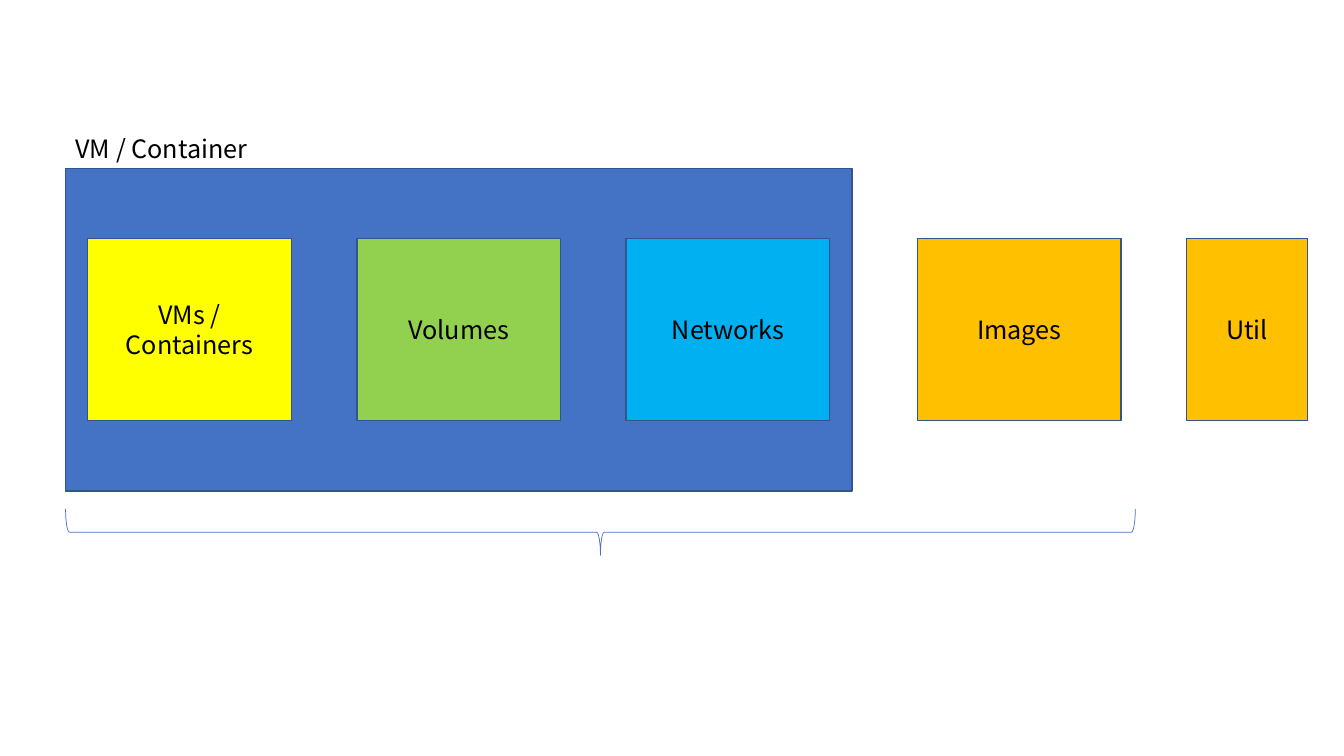
from pptx import Presentation
from pptx.dml.color import RGBColor
from pptx.enum.shapes import MSO_SHAPE
from pptx.enum.text import MSO_ANCHOR, MSO_AUTO_SIZE, PP_ALIGN
from pptx.util import Inches, Pt

BLACK = RGBColor(0x00, 0x00, 0x00)
BLUE = RGBColor(0x44, 0x72, 0xC4)
NAVY = RGBColor(0x32, 0x54, 0x91)
YELLOW = RGBColor(0xFF, 0xFF, 0x00)
GREEN = RGBColor(0x92, 0xD0, 0x50)
CYAN = RGBColor(0x00, 0xB0, 0xF0)
ORANGE = RGBColor(0xFF, 0xC0, 0x00)

FONT_FORMAT = {"name": "Noto Sans CJK KR", "size": Pt(18)}
BOX_TEXT_FORMAT = {"vertical_anchor": MSO_ANCHOR.MIDDLE, "word_wrap": True}
LABEL_TEXT_FORMAT = {"word_wrap": False, "auto_size": MSO_AUTO_SIZE.SHAPE_TO_FIT_TEXT}

FRAME_LEFT, FRAME_TOP, FRAME_WIDTH, FRAME_HEIGHT = 0.65, 1.67, 7.8, 3.2
FRAME_PAD = 0.22
COLUMN_PITCH, COLUMN_WIDTH = 2.67, 2.02
ROW_HEIGHT, LABEL_HEIGHT = 1.81, 0.4
ROW_TOP = FRAME_TOP + (FRAME_HEIGHT - ROW_HEIGHT) / 2

MODULES = [
    ("VMs /\nContainers", YELLOW, COLUMN_WIDTH),
    ("Volumes", GREEN, COLUMN_WIDTH),
    ("Networks", CYAN, COLUMN_WIDTH),
    ("Images", ORANGE, COLUMN_WIDTH),
    ("Util", ORANGE, 1.2),
]
FRAMED_COUNT = 3


def apply_format(target, values):
    """Set every attribute named in values on the target."""
    for attribute, value in values.items():
        setattr(target, attribute, value)


def write_lines(frame, text, frame_format, align):
    """Fill a text frame with one styled paragraph per line."""
    apply_format(frame, frame_format)
    frame.text = text
    for paragraph in frame.paragraphs:
        paragraph.alignment = align
        apply_format(paragraph.font, FONT_FORMAT)
        paragraph.font.color.rgb = BLACK


def add_box(slide, left, top, width, height, fill):
    """Add a filled rectangle with a navy outline."""
    box = slide.shapes.add_shape(
        MSO_SHAPE.RECTANGLE, *map(Inches, (left, top, width, height)))
    box.shadow.inherit = False
    box.fill.solid()
    box.fill.fore_color.rgb = fill
    box.line.color.rgb = NAVY
    box.line.width = Pt(1)
    return box


def add_module(slide, column, text, fill, width):
    """Add a captioned box in a column, shifted when beyond the frame."""
    inset = FRAME_PAD * (1 if column < FRAMED_COUNT else 2)
    left = FRAME_LEFT + inset + column * COLUMN_PITCH
    module = add_box(slide, left, ROW_TOP, width, ROW_HEIGHT, fill)
    write_lines(module.text_frame, text, BOX_TEXT_FORMAT, PP_ALIGN.CENTER)


def add_label(slide, left, top, text):
    """Add an unwrapped text label."""
    label = slide.shapes.add_textbox(
        *map(Inches, (left, top, COLUMN_WIDTH, LABEL_HEIGHT)))
    write_lines(label.text_frame, text, LABEL_TEXT_FORMAT, PP_ALIGN.LEFT)


def add_brace_below(slide, left, top, span, depth):
    """Add a brace that spans horizontally and points down."""
    brace = slide.shapes.add_shape(
        MSO_SHAPE.RIGHT_BRACE,
        *map(Inches, (left + (span - depth) / 2, top + (depth - span) / 2, depth, span)))
    brace.rotation = 90
    brace.shadow.inherit = False
    brace.fill.background()
    brace.line.color.rgb = BLUE
    brace.line.width = Pt(0.5)


def main():
    """Build the module overview slide and save it."""
    deck = Presentation()
    apply_format(deck, {"slide_width": Inches(13.33), "slide_height": Inches(7.5)})
    slide = deck.slides.add_slide(deck.slide_layouts[6])
    add_box(slide, FRAME_LEFT, FRAME_TOP, FRAME_WIDTH, FRAME_HEIGHT, BLUE)
    add_label(slide, FRAME_LEFT, FRAME_TOP - LABEL_HEIGHT, "VM / Container")
    for column, module in enumerate(MODULES):
        add_module(slide, column, *module)
    add_brace_below(slide, FRAME_LEFT, 5.05, 10.61, 0.46)
    deck.save("out.pptx")


main()
